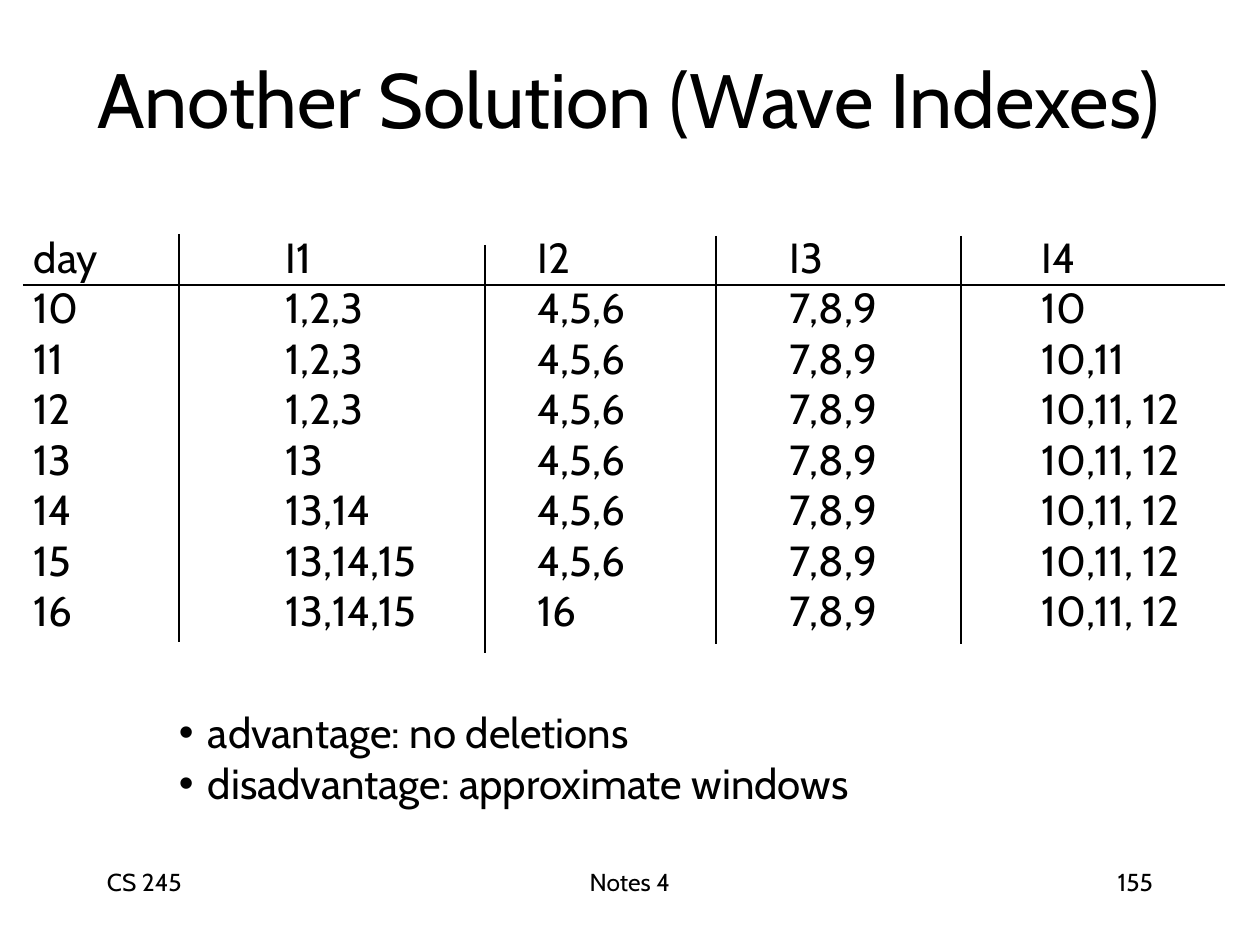
from lxml import etree
from pptx import Presentation
from pptx.dml.color import RGBColor
from pptx.enum import shapes, text
from pptx.oxml.ns import qn
from pptx.util import Emu, Pt

PX = 914400 / 126
FONT = "Cabin"
COLORS = {"ink": "000000", "paper": "FFFFFF"}
LEFT, CENTER, RIGHT = text.PP_ALIGN.LEFT, text.PP_ALIGN.CENTER, text.PP_ALIGN.RIGHT
TOP, MIDDLE = text.MSO_ANCHOR.TOP, text.MSO_ANCHOR.MIDDLE

HEADER = ["day", "I1", "I2", "I3", "I4"]
ROWS = [
    ["10", "1,2,3", "4,5,6", "7,8,9", "10"],
    ["11", "1,2,3", "4,5,6", "7,8,9", "10,11"],
    ["12", "1,2,3", "4,5,6", "7,8,9", "10,11, 12"],
    ["13", "13", "4,5,6", "7,8,9", "10,11, 12"],
    ["14", "13,14", "4,5,6", "7,8,9", "10,11, 12"],
    ["15", "13,14,15", "4,5,6", "7,8,9", "10,11, 12"],
    ["16", "13,14,15", "16", "7,8,9", "10,11, 12"],
]


def px(n):
    """Turn pixels into EMU."""
    return Emu(round(n * PX))


def rgb(name):
    """Look up a named colour."""
    return RGBColor.from_string(COLORS[name])


def add_bullet(p, indent):
    """Give a paragraph a round bullet with a hanging indent."""
    pPr = p._p.get_or_add_pPr()
    pPr.set("marL", str(px(indent)))
    pPr.set("indent", str(-px(indent)))
    etree.SubElement(pPr, qn("a:buFont")).set("typeface", "Arial")
    etree.SubElement(pPr, qn("a:buChar")).set("char", "•")


def write(tf, lines, size=24, align=LEFT, bullet=0):
    """Fill a text frame with formatted paragraphs."""
    for i, line in enumerate(lines):
        p = tf.paragraphs[0] if i == 0 else tf.add_paragraph()
        p.alignment = align
        if bullet:
            add_bullet(p, bullet)
        r = p.add_run()
        r.text = line
        r.font.name, r.font.size = FONT, Pt(size)
        r.font.color.rgb = rgb("ink")


def add_text(s, box, lines, inset=(13, 6), anchor=TOP, **fmt):
    """Place a wrapped text box."""
    tf = s.shapes.add_textbox(*map(px, box)).text_frame
    tf.word_wrap = True
    tf.vertical_anchor = anchor
    tf.margin_left = tf.margin_right = px(inset[0])
    tf.margin_top = tf.margin_bottom = px(inset[1])
    write(tf, lines, **fmt)


def add_rule(s, x1, y1, x2, y2):
    """Draw a thin straight rule."""
    sp = s.shapes.add_connector(shapes.MSO_CONNECTOR.STRAIGHT, *map(px, (x1, y1, x2, y2)))
    sp.line.color.rgb, sp.line.width = rgb("ink"), Pt(0.75)
    etree.SubElement(sp._element.spPr, qn("a:effectLst"))


def add_title(s, box):
    """Place the slide title."""
    add_text(s, box, ["Another Solution (Wave Indexes)"], inset=(0, 0), anchor=MIDDLE,
             size=44, align=CENTER)


def add_index_table(s, box):
    """Place the table of indexes by day and its rules."""
    x, y, w, h = box
    data = [HEADER] + ROWS
    pitch = 252
    frame = s.shapes.add_table(len(data), len(HEADER), *map(px, box))
    table = frame.table
    table.first_row = table.horz_banding = False
    for i, col in enumerate(table.columns):
        col.width = px(min(pitch, w - i * pitch))
    for row, values in zip(table.rows, data):
        row.height = px(h / len(data))
        for cell, value in zip(row.cells, values):
            cell.fill.background()
            cell.margin_left = cell.margin_right = px(13)
            cell.margin_top = cell.margin_bottom = 0
            write(cell.text_frame, [value])
    add_rule(s, x + 2, y + 52, x + 1204, y + 52)
    for dx, dy in [(158, 1), (464, 12), (695, 3), (940, 3)]:
        add_rule(s, x + dx, y + dy, x + dx, y + dy + 408)


def add_remarks(s, box):
    """Place the bulleted remarks."""
    add_text(s, box, ["advantage: no deletions", "disadvantage: approximate windows"], bullet=29)


def add_footer(s, box):
    """Place course, notes and page number along the bottom."""
    x, y, w, h = box
    side, middle = 262, 400
    add_text(s, (x, y, side, h), ["CS 245"], size=14)
    add_text(s, (x + (w - middle) / 2, y, middle, h), ["Notes 4"], size=14, align=CENTER)
    add_text(s, (x + w - side, y, side, h), ["155"], size=14, align=RIGHT)


def main():
    """Build and save the slide."""
    prs = Presentation()
    prs.slide_width, prs.slide_height = px(1260), px(945)
    s = prs.slides.add_slide(prs.slide_layouts[6])
    s.background.fill.solid()
    s.background.fill.fore_color.rgb = rgb("paper")
    add_title(s, (45, 50, 1167, 95))
    add_index_table(s, (21, 233, 1210, 403))
    add_remarks(s, (166, 701, 766, 113))
    add_footer(s, (94, 861, 1072, 63))
    prs.save("out.pptx")


if __name__ == "__main__":
    main()
